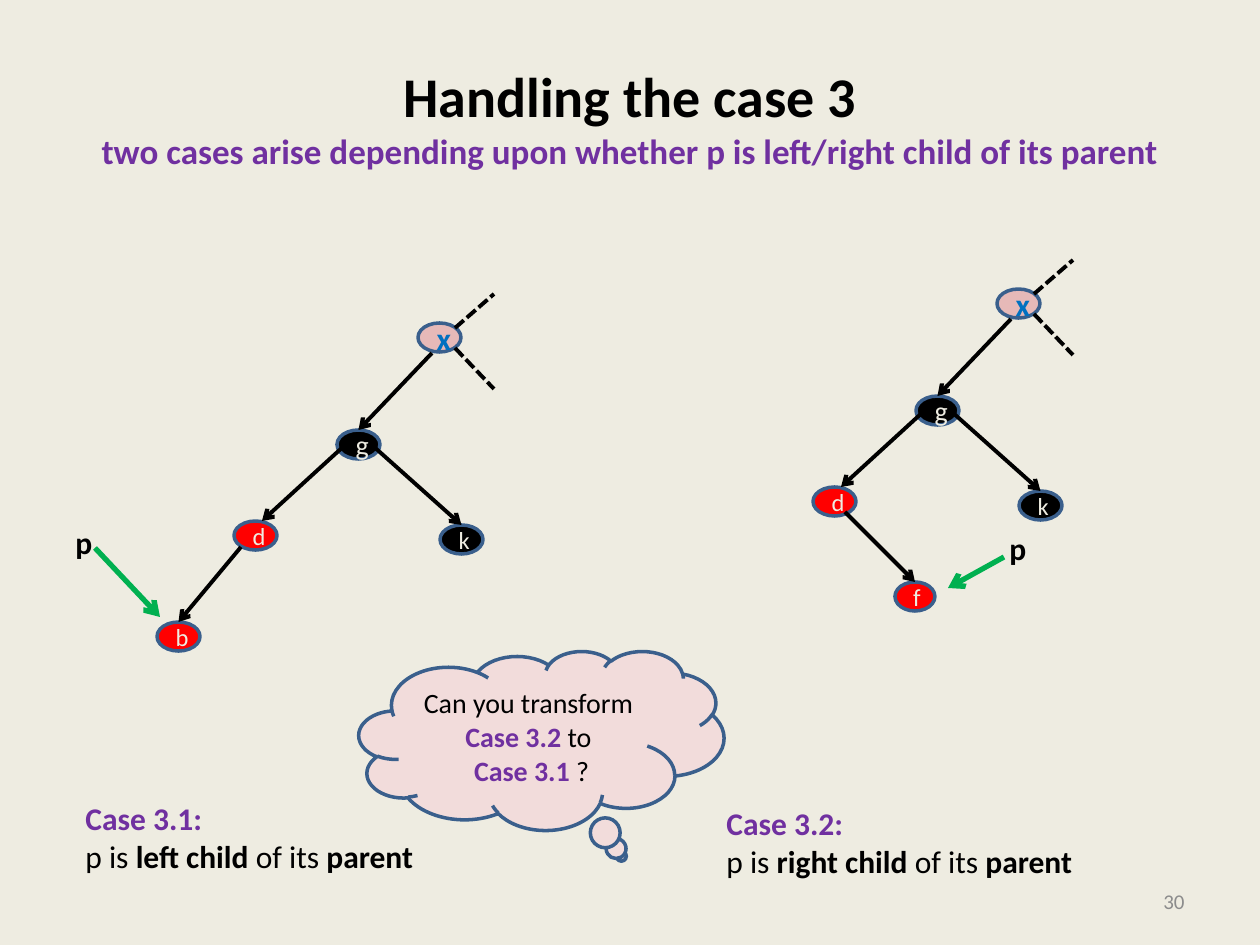
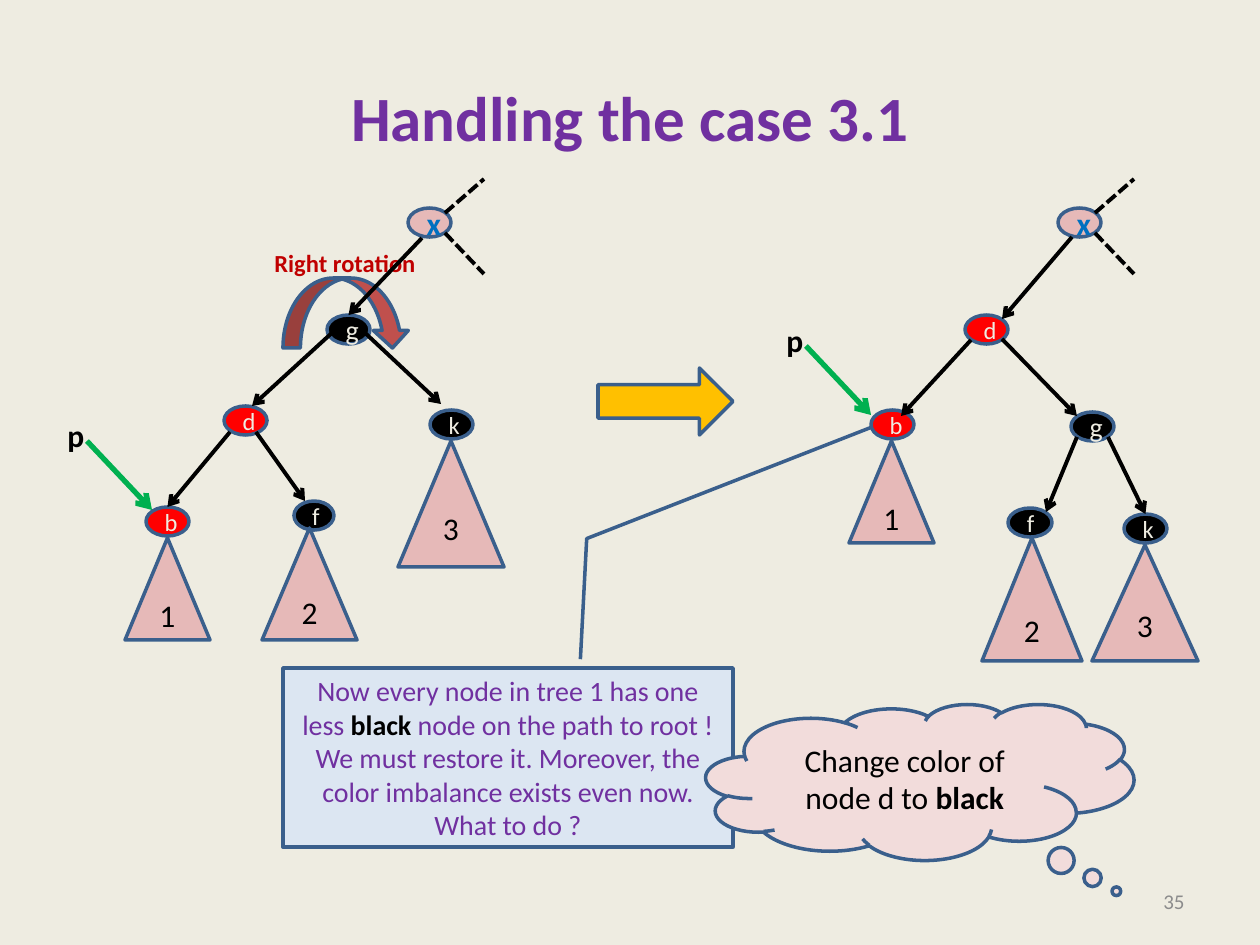
from lxml.etree import SubElement
from pptx import Presentation
from pptx.dml.color import RGBColor
from pptx.enum.dml import MSO_LINE
from pptx.enum.shapes import MSO_CONNECTOR, MSO_SHAPE
from pptx.enum.text import MSO_ANCHOR, MSO_AUTO_SIZE, PP_ALIGN
from pptx.oxml.ns import qn
from pptx.util import Emu, Pt

FONT = "Calibri"
COLORS = {
    "paper": "EEECE1", "black": "000000", "red": "FF0000", "pink": "E6B9B8",
    "outline": "3A5F8C", "purple": "7030A0", "blue": "0070C0", "green": "00B050",
    "gray": "8C8C8C", "cloud": "F2DCDB", "note": "DCE6F2", "amber": "FFC000",
    "brick": "C0504D", "crimson": "C00000",
}
NODE_W, NODE_H = 43, 29


def px(n):
    return Emu(round(n * 914400 / 126))


def rgb(name):
    return RGBColor.from_string(COLORS[name])


# Text: each paragraph is a list of (text, colour, bold) runs
def add_run(p, text, size, color="black", bold=False):
    r = p.add_run()
    r.text = text
    r.font.name, r.font.size, r.font.bold = FONT, Pt(size), bold
    r.font.color.rgb = rgb(color)


def write(tf, paragraphs, size, align):
    for i, runs in enumerate(paragraphs):
        p = tf.add_paragraph() if i else tf.paragraphs[0]
        p.alignment = align
        for run in runs:
            add_run(p, run[0], size, *run[1:])


def label(s, box, paragraphs, size, wrap=False):
    tf = s.shapes.add_textbox(*map(px, box)).text_frame
    tf.word_wrap = wrap
    tf.auto_size = MSO_AUTO_SIZE.SHAPE_TO_FIT_TEXT
    write(tf, paragraphs, size, PP_ALIGN.LEFT)


# Filled, outlined preset shapes
def shape(s, kind, box, fill, paragraphs=(), size=18, adjustments=()):
    sp = s.shapes.add_shape(kind, *map(px, box))
    sp.shadow.inherit = False
    sp.fill.solid()
    sp.fill.fore_color.rgb = rgb(fill)
    sp.line.color.rgb = rgb("outline")
    sp.line.width = Pt(2)
    for i, value in enumerate(adjustments):
        sp.adjustments[i] = value
    sp.text_frame.vertical_anchor = MSO_ANCHOR.MIDDLE
    write(sp.text_frame, paragraphs, size, PP_ALIGN.CENTER)
    return sp


def node(s, letter, x, y, fill, width=NODE_W):
    size = {"x": 18, "g": 16}.get(letter, 14)
    run = (letter, "blue", True) if letter == "x" else (letter, "paper")
    return shape(s, MSO_SHAPE.OVAL, (x, y, width, NODE_H), fill, [[run]], size)


def subtree(s, number, box, lift=0):
    sp = shape(s, MSO_SHAPE.ISOSCELES_TRIANGLE, box, "pink", [[(number,)]])
    sp.text_frame.margin_bottom = px(6 + lift)


# Lines and arrows; an arrow given a node ends at its top
def line(s, start, end, color="black", width=2.25):
    c = s.shapes.add_connector(MSO_CONNECTOR.STRAIGHT, *map(px, (*start, *end)))
    c.line.color.rgb = rgb(color)
    c.line.width = Pt(width)
    SubElement(c._element.spPr, qn("a:effectLst"))
    return c


def arrow(s, start, end, color="black", width=2.25, target=None):
    c = line(s, start, end, color, width)
    SubElement(c.line._get_or_add_ln(), qn("a:tailEnd"), type="arrow")
    if target is not None:
        c.end_connect(target, 0)


def arrow_to(s, start, target):
    arrow(s, start, start, target=target)


def pointer(s, x, y, start=(32, 31), end=(97, 100)):
    """The label p with its green arrow, relative to the label's corner."""
    arrow(s, (x + start[0], y + start[1]), (x + end[0], y + end[1]), "green", 3)
    label(s, (x, y, 43, 50), [[("p", "black", True)]], 18)


# Tree parts
def root(s, x, y):
    node(s, "x", x, y, "pink")
    for dy, end_dy in ((5, -29), (25, 66)):
        c = line(s, (x + 37, y + dy), (x + 76, y + end_dy))
        c.line.dash_style = MSO_LINE.SQUARE_DOT


def upper_tree(s, x, y, k_tip=None):
    """Nodes x, g, d and k, placed from the corner of x."""
    root(s, x, y)
    gx, gy = x - 81, y + 107
    g = node(s, "g", gx, gy, "black")
    node(s, "d", gx - 103, gy + 91, "red")
    k = node(s, "k", gx + 103, gy + 95, "black")
    arrow_to(s, (x + 14, y + 30), g)
    arrow(s, (gx + 7, gy + 16), (gx - 75, gy + 91))
    if k_tip:
        arrow(s, (gx + 36, gy + 16), k_tip)
    else:
        arrow_to(s, (gx + 36, gy + 16), k)


def new_slide(prs, number, title_lines):
    s = prs.slides.add_slide(prs.slide_layouts[5])
    title = s.shapes.title
    title.left, title.top, title.width, title.height = map(px, (63, 38, 1134, 157))
    tf = title.text_frame
    tf.vertical_anchor = MSO_ANCHOR.MIDDLE
    p = tf.paragraphs[0]
    p.alignment = PP_ALIGN.CENTER
    for i, (text, size, color) in enumerate(title_lines):
        if i:
            p.add_line_break()
        add_run(p, text, size, color, True)
    # Slide number
    tf = s.shapes.add_textbox(*map(px, (903, 876, 294, 50))).text_frame
    tf.word_wrap = True
    tf.vertical_anchor = MSO_ANCHOR.MIDDLE
    write(tf, [[(number, "gray")]], 12, PP_ALIGN.RIGHT)
    return s


def caption(s, box, case, side):
    label(s, box, [
        [(f"Case {case}:", "purple", True)],
        [("p is ",), (f"{side} child ", "black", True), ("of its ",),
         ("parent", "black", True)],
    ], 18)


def two_cases_slide(prs):
    s = new_slide(prs, "30", [
        ("Handling the case 3", 32, "black"),
        ("two cases arise depending upon whether p is left/right child of its parent",
         20, "purple"),
    ])
    # Case 3.1
    upper_tree(s, 418, 323)
    arrow_to(s, (241, 547), node(s, "b", 157, 622, "red"))
    pointer(s, 63, 517)
    caption(s, (73, 793, 357, 89), "3.1", "left")
    # Case 3.2
    upper_tree(s, 997, 289)
    arrow_to(s, (845, 512), node(s, "f", 895, 582, "red", 40))
    pointer(s, 997, 523, start=(7, 34), end=(-49, 65))
    caption(s, (714, 798, 374, 89), "3.2", "right")
    # Question
    shape(s, MSO_SHAPE.CLOUD_CALLOUT, (359, 651, 365, 179), "cloud", [
        [("Can you transform ",), ("Case 3.2 ", "purple", True), ("to",)],
        [(" ",), ("Case 3.1", "purple", True), (" ?",)],
    ], 16, (0.219, 0.647))


def rotation_slide(prs):
    s = new_slide(prs, "35", [("Handling the case 3.1", 36, "purple")])
    shape(s, MSO_SHAPE.RIGHT_ARROW, (598, 368, 135, 67), "amber")
    shape(s, MSO_SHAPE.CURVED_DOWN_ARROW, (283, 278, 127, 70), "brick")
    label(s, (262, 242, 168, 43), [[("Right rotation", "crimson", True)]], 14, True)

    # Tree before the rotation
    upper_tree(s, 408, 208, k_tip=(441, 404))
    arrow_to(s, (230, 432), node(s, "b", 146, 507, "red"))
    node(s, "f", 294, 501, "black", 40)
    arrow(s, (256, 432), (305, 501))
    subtree(s, "1", (125, 538, 85, 102))
    subtree(s, "2", (262, 528, 95, 112))
    subtree(s, "3", (398, 441, 106, 126), lift=15)
    pointer(s, 55, 410)

    # Note on tree 1
    shape(s, MSO_SHAPE.LINE_CALLOUT_2, (283, 668, 450, 179), "note", [[
        ("Now every node in tree 1 has one less ", "purple"),
        ("black", "black", True),
        (" node on the path to root ! We must restore it. Moreover, the color "
         "imbalance exists even now. What to do ?", "purple"),
    ]], 16, (-0.049, 0.661, -0.723, 0.675, -1.363, 1.326))
    shape(s, MSO_SHAPE.CLOUD_CALLOUT, (706, 704, 428, 156), "cloud",
          [[("Change color of node d to ",), ("black", "black", True)]],
          18, (0.459, 0.7))

    # Tree after the rotation
    root(s, 1058, 208)
    node(s, "d", 965, 315, "red")
    node(s, "b", 871, 410, "red")
    node(s, "g", 1071, 412, "black")
    node(s, "f", 1008, 508, "black", 44)
    k = node(s, "k", 1124, 514, "black")
    for start, end in (((1072, 237), (1002, 319)), ((971, 340), (901, 416)),
                       ((1002, 339), (1077, 416)), ((1077, 437), (1046, 512))):
        arrow(s, start, end)
    arrow_to(s, (1108, 437), k)
    subtree(s, "1", (849, 441, 85, 102))
    subtree(s, "2", (982, 538, 100, 123))
    subtree(s, "3", (1092, 545, 106, 116), lift=15)
    pointer(s, 774, 315)


def main():
    prs = Presentation()
    prs.slide_width, prs.slide_height = px(1260), px(945)
    fill = prs.slide_master.background.fill
    fill.solid()
    fill.fore_color.rgb = rgb("paper")
    two_cases_slide(prs)
    rotation_slide(prs)
    prs.save("out.pptx")


if __name__ == "__main__":
    main()
